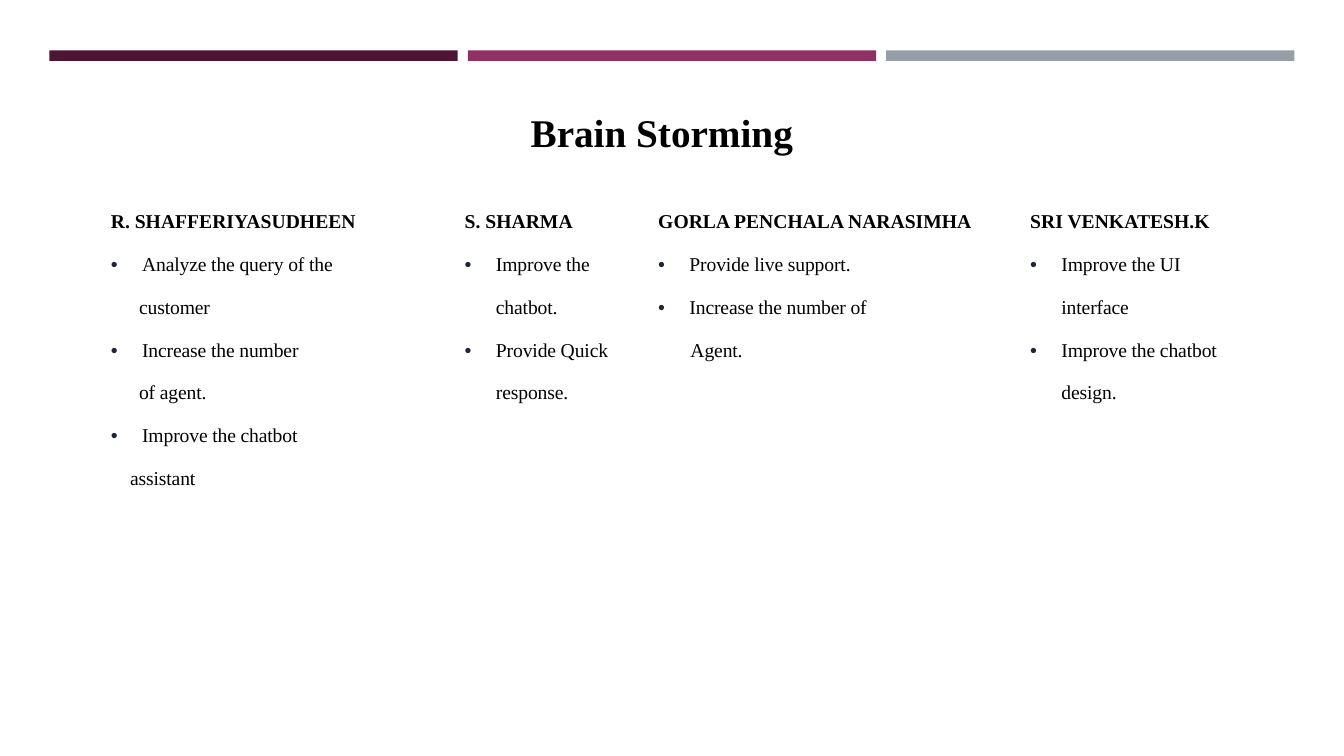
from pptx import Presentation
from pptx.dml.color import RGBColor as RGB
from pptx.enum.shapes import MSO_SHAPE as Kind
from pptx.enum.text import PP_ALIGN as Align, MSO_AUTO_SIZE as Auto
from pptx.oxml import parse_xml
from pptx.oxml.ns import nsdecls
from pptx.util import Inches, Pt

BLACK = RGB(0, 0, 0)
PLUM = RGB(0x4D, 0x14, 0x34)
ROSE = RGB(0x90, 0x31, 0x63)
GRAY = RGB(0x96, 0x9F, 0xA7)
FONT = "Times New Roman"
HANG = 0.31

deck = Presentation()
deck.slide_width, deck.slide_height = Inches(13.33), Inches(7.5)
slide = deck.slides.add_slide(deck.slide_layouts[6])

# Grid of one hundred columns and rows
col, row = deck.slide_width / 100, deck.slide_height / 100


def add_run(para, text, size, bold):
    run = para.add_run()
    run.text = text
    font = run.font
    font.name, font.size, font.bold = FONT, Pt(size), bold
    font.color.rgb = BLACK
    return run


def indent(para, left, bullet):
    props = para._p.get_or_add_pPr()
    props.set("marL", str(Inches(left)))
    if bullet:
        props.set("indent", str(-Inches(left)))
        for xml in (
            '<a:buClr %s><a:srgbClr val="1E2539"/></a:buClr>',
            '<a:buFont %s typeface="Arial"/>',
            '<a:buChar %s char="\u2022"/>',
        ):
            props.append(parse_xml(xml % nsdecls("a")))


# Three bars across the top
for i, color in enumerate((PLUM, ROSE, GRAY)):
    bar = slide.shapes.add_shape(
        Kind.RECTANGLE, int(col * (3.68 + 31.13 * i)), int(row * 6.67),
        int(col * 30.38), int(row * 1.4))
    bar.shadow.inherit = False
    bar.fill.solid()
    bar.fill.fore_color.rgb = color
    bar.line.fill.background()

# Title
box = slide.shapes.add_textbox(
    int(col * 38.63), int(row * 13.73), int(col * 21.23), int(row * 7.6))
frame = box.text_frame
frame.word_wrap = False
frame.auto_size = Auto.SHAPE_TO_FIT_TEXT
para = frame.paragraphs[0]
para.alignment = Align.CENTER
add_run(para, "Brain Storming", 28, True)

# Ideas by person: a number gives the indent of a line without a bullet
ideas = {
    "R. SHAFFERIYASUDHEEN": [
        "Analyze the query of the", (0.28, "customer"),
        "Increase the number", (0.28, "of agent."),
        "Improve the chatbot", (0.19, "assistant")],
    "S. SHARMA": ["Improve the chatbot.", "Provide Quick response."],
    "GORLA PENCHALA NARASIMHA": [
        "Provide live support.", "Increase the number of", (0.32, "Agent.")],
    "SRI VENKATESH.K": [
        "Improve the UI interface", "Improve the chatbot design."],
}
widths = (26.33, 14.4, 27.68, 16.05)
heights = (43.33,) + (7.47,) * 4

# Table
table = slide.shapes.add_table(
    len(heights), len(widths), int(col * 7.5), int(row * 24.53),
    int(col * sum(widths)), int(row * sum(heights))).table
table.first_row = table.horz_banding = False
for part, width in zip(table.columns, widths):
    part.width = int(col * width)
for part, height in zip(table.rows, heights):
    part.height = int(row * height)
for cell in table.iter_cells():
    cell.fill.background()

# Names and their lists
for i, (name, lines) in enumerate(ideas.items()):
    frame = table.cell(0, i).text_frame
    para = frame.paragraphs[0]
    para.line_spacing = Pt(30.5)
    add_run(para, name, 14, True)
    for line in lines:
        bullet = isinstance(line, str)
        left, text = (HANG, line) if bullet else line
        para = frame.add_paragraph()
        para.line_spacing = Pt(30.5)
        indent(para, left, bullet)
        run = add_run(para, text, 14, False)
        run.font._element.set("spc", "-10")

deck.save("out.pptx")
